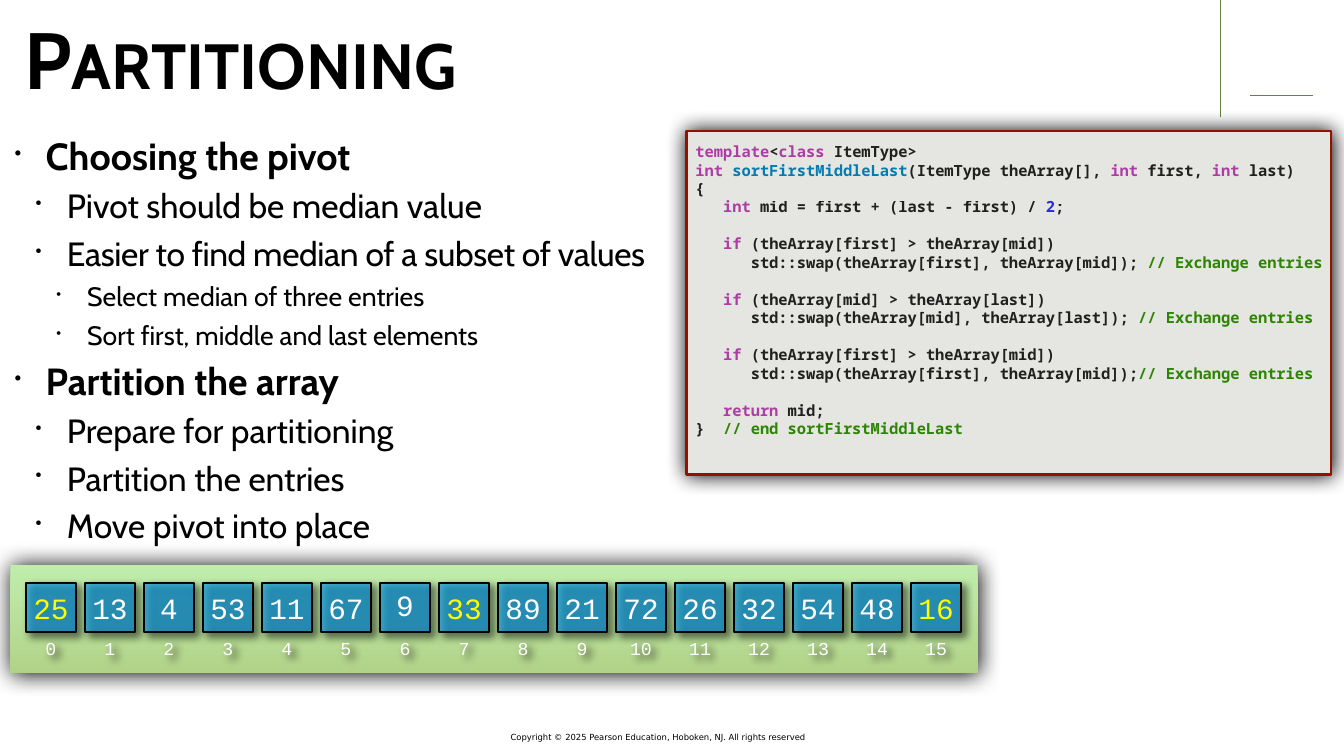
"""Build the slide on partitioning an array around a pivot."""
from dataclasses import dataclass

from lxml.etree import SubElement as Sub
from pptx import Presentation
from pptx.dml.color import RGBColor as RGB
from pptx.enum.shapes import MSO_CONNECTOR as Link, MSO_SHAPE as Kind
from pptx.enum.text import MSO_ANCHOR as Anchor, PP_ALIGN as Align
from pptx.oxml.ns import qn
from pptx.util import Pt

TITLE = "Partitioning"
CREDIT = "Copyright © 2025 Pearson Education, Hoboken, NJ. All rights reserved"
POINTS = [
    (0, "Choosing the pivot", 0),
    (1, "Pivot should be median value", 0),
    (1, "Easier to find median of a subset of values", -50),
    (2, "Select median of three entries", 0),
    (2, "Sort first, middle and last elements", 0),
    (0, "Partition the array", 0),
    (1, "Prepare for partitioning", 0),
    (1, "Partition the entries", 0),
    (1, "Move pivot into place", 0),
]
# "~" parts the tokens and an empty string is a gap
CODE = [
    "template~<~class~ ItemType>",
    "int~ ~sortFirstMiddleLast~(ItemType theArray[], ~int~ first, ~int~ last)",
    "{",
    "   ~int~ mid = first + (last - first) / ~2~;",
    "",
    "   ~if~ (theArray[first] > theArray[mid])",
    "      std::swap(theArray[first], theArray[mid]); ~// Exchange entries",
    "",
    "   ~if~ (theArray[mid] > theArray[last])",
    "      std::swap(theArray[mid], theArray[last]); ~// Exchange entries",
    "",
    "   ~if~ (theArray[first] > theArray[mid])",
    "      std::swap(theArray[first], theArray[mid]);~// Exchange entries",
    "",
    "   ~return~ mid;",
    "}  ~// end sortFirstMiddleLast",
]
WORDS = {"template", "class", "int", "if", "return"}
VALUES = [25, 13, 4, 53, 11, 67, 9, 33, 89, 21, 72, 26, 32, 54, 48, 16]
PICKED = {0, 7, 15}
RAISED = {6: 4}
RULES = [(1786.3, 136.8, 1876.3, 136.8), (1743.1, 167.8, 1743.1, 0)]
INDENTS = [(44.6, -44.6), (74.9, -44.6), (103.7, -43.9)]


@dataclass(frozen=True)
class Theme:
    """Colours, fonts and type sizes."""
    ink: str = "000000"
    white: str = "FFFFFF"
    pick: str = "FFFB00"
    rule: str = "668040"
    cell: str = "0097EB"
    top: str = "C0EDAC"
    base: str = "B1D389"
    paper: str = "E5E6E1"
    edge: str = "941100"
    word: str = "AD3DA4"
    name: str = "047CB0"
    digit: str = "272AD8"
    note: str = "2D8504"
    sans: str = "Cabin"
    mono: str = "Noto Sans Mono"
    type: str = "Courier New"
    small: str = "DejaVu Sans"
    title: float = 114
    levels: tuple = (54, 48, 38)
    code: float = 22
    lead: float = 26.4
    value: float = 42
    index: float = 26
    credit: float = 12


T = Theme()


def rgb(color):
    """Turn a hex string into a colour."""
    return RGB.from_string(color)


def style(font, face, size, color=None, bold=False):
    """Set the face, size, colour and weight of a font."""
    font.name, font.size, font.bold = face, Pt(size), bold
    if color:
        font.color.rgb = rgb(color)


def veil(shape, color, part):
    """Make one colour of a shape see-through."""
    for node in shape.element.iter(qn("a:srgbClr")):
        if node.get("val") == color:
            Sub(node, qn("a:alpha"), val=str(part * 1000))


def shade(shape, part, blur, dist, turn):
    """Give a shape a soft black shadow."""
    shape.shadow.inherit = False
    spot = Sub(shape.element.spPr.find(qn("a:effectLst")), qn("a:outerShdw"),
               blurRad=str(Pt(blur)), dist=str(Pt(dist)),
               dir=str(turn * 60000), algn="ctr", rotWithShape="0")
    tint = Sub(spot, qn("a:srgbClr"), val=T.ink)
    Sub(tint, qn("a:alpha"), val=str(part * 1000))


def block(host, x, y, w, h, fill=None, edge=None, width=0):
    """Add a rectangle with an optional fill and outline."""
    shape = host.add_shape(Kind.RECTANGLE, Pt(x), Pt(y), Pt(w), Pt(h))
    if fill:
        shape.fill.solid()
        shape.fill.fore_color.rgb = rgb(fill)
    if edge:
        shape.line.color.rgb = rgb(edge)
        shape.line.width = Pt(width)
    else:
        shape.line.fill.background()
    return shape


def frame(host, x, y, w, h, anchor=Anchor.TOP, wrap=True, pad=5.76):
    """Add a text box with even margins."""
    box = host.add_textbox(Pt(x), Pt(y), Pt(w), Pt(h))
    text = box.text_frame
    text.word_wrap, text.vertical_anchor = wrap, anchor
    text.margin_left = text.margin_right = Pt(pad)
    text.margin_top = text.margin_bottom = Pt(pad)
    return box


def label(host, mid, y, w, h, word, size, color):
    """Add a centred number around a middle line."""
    box = frame(host, mid - w / 2, y, w, h, Anchor.MIDDLE, False)
    para = box.text_frame.paragraphs[0]
    para.text, para.alignment = str(word), Align.CENTER
    style(para.font, T.type, size, color)
    return box


def tone(token):
    """Pick the colour of a code token."""
    if token in WORDS:
        return T.word
    if token.startswith("//"):
        return T.note
    if token.isdigit():
        return T.digit
    return T.name if token == "sortFirstMiddleLast" else T.ink


def outline(host):
    """Write the bulleted list."""
    text = frame(host, 15, 184.3, 975, 637).text_frame
    for i, (level, words, space) in enumerate(POINTS):
        para = text.add_paragraph() if i else text.paragraphs[0]
        para.text, para.level = words, level
        props = para._p.get_or_add_pPr()
        left, hang = INDENTS[level]
        props.set("marL", str(Pt(left)))
        props.set("indent", str(Pt(hang)))
        Sub(props, qn("a:buSzPct"), val="53000")
        Sub(props, qn("a:buChar"), char="•")
        para.space_before = Pt(10 if i else 0)
        style(para.font, T.sans, T.levels[level], T.ink, level == 0)
        if space:
            props.find(qn("a:defRPr")).set("spc", str(space))


def listing(host):
    """Write the code on its panel."""
    panel = block(host, 980.6, 187.2, 920.9, 490.3, T.paper, T.edge, 4)
    shade(panel, 100, 30, 0, 33)
    box = frame(host, 987.8, 197.3, 913.7, 411.8)
    text, gap = box.text_frame, 0
    for i, line in enumerate(CODE):
        if not line:
            gap = T.lead
            continue
        para = text.add_paragraph() if i else text.paragraphs[0]
        para.line_spacing, para.space_before = Pt(T.lead), Pt(gap)
        style(para.font, T.mono, T.code, bold=True)
        for token in line.split("~"):
            run = para.add_run()
            run.text = token
            run.font.color.rgb = rgb(tone(token))
        gap = 0
    veil(box, T.ink, 85)


def array(host):
    """Draw the array with its values and indexes."""
    group = host.add_group_shape().shapes
    panel = block(group, 15, 807, 1381.7, 154.8)
    panel.fill.gradient()
    panel.fill.gradient_angle = 270
    for stop, color in zip(panel.fill.gradient_stops, (T.top, T.base)):
        stop.color.rgb = rgb(color)
    shade(panel, 100, 34, 0, 40)
    side, step = 70.5, 84.3
    for i, value in enumerate(VALUES):
        x = 37.5 + step * i
        mid = x + side / 2
        cell = block(group, x, 832.3, side, side, T.cell, T.ink, 3)
        veil(cell, T.cell, 62)
        shade(cell, 75, 12, 9, 45)
        mark = label(group, mid, 901.4, 30 if i < 10 else 48, 48.2, i,
                     T.index, T.white)
        shade(mark, 75, 12, 9, 45)
        label(host if i in PICKED else group, mid, 835 - RAISED.get(i, 0),
              37.4 if value < 10 else 63.4, 65, value, T.value,
              T.pick if i in PICKED else T.white)


def main():
    """Put the slide together and save it."""
    deck = Presentation()
    deck.slide_width, deck.slide_height = Pt(1920), Pt(1080)
    host = deck.slides.add_slide(deck.slide_layouts[6]).shapes
    for ends in RULES:
        rule = host.add_connector(Link.STRAIGHT, *map(Pt, ends))
        rule.line.color.rgb, rule.line.width = rgb(T.rule), Pt(1)
        Sub(rule.element.spPr, qn("a:effectLst"))
    para = frame(host, 729.4, 1044.7, 487.4, 17.3, Anchor.MIDDLE,
                 pad=0).text_frame.paragraphs[0]
    para.text = CREDIT
    style(para.font, T.small, T.credit, T.ink)
    para = frame(host, 28.8, 0, 1729.4, 164.9,
                 Anchor.MIDDLE).text_frame.paragraphs[0]
    para.text = TITLE
    style(para.font, T.sans, T.title, T.ink, True)
    para._p.pPr.find(qn("a:defRPr")).set("cap", "small")
    outline(host)
    listing(host)
    array(host)
    deck.save("out.pptx")


if __name__ == "__main__":
    main()
